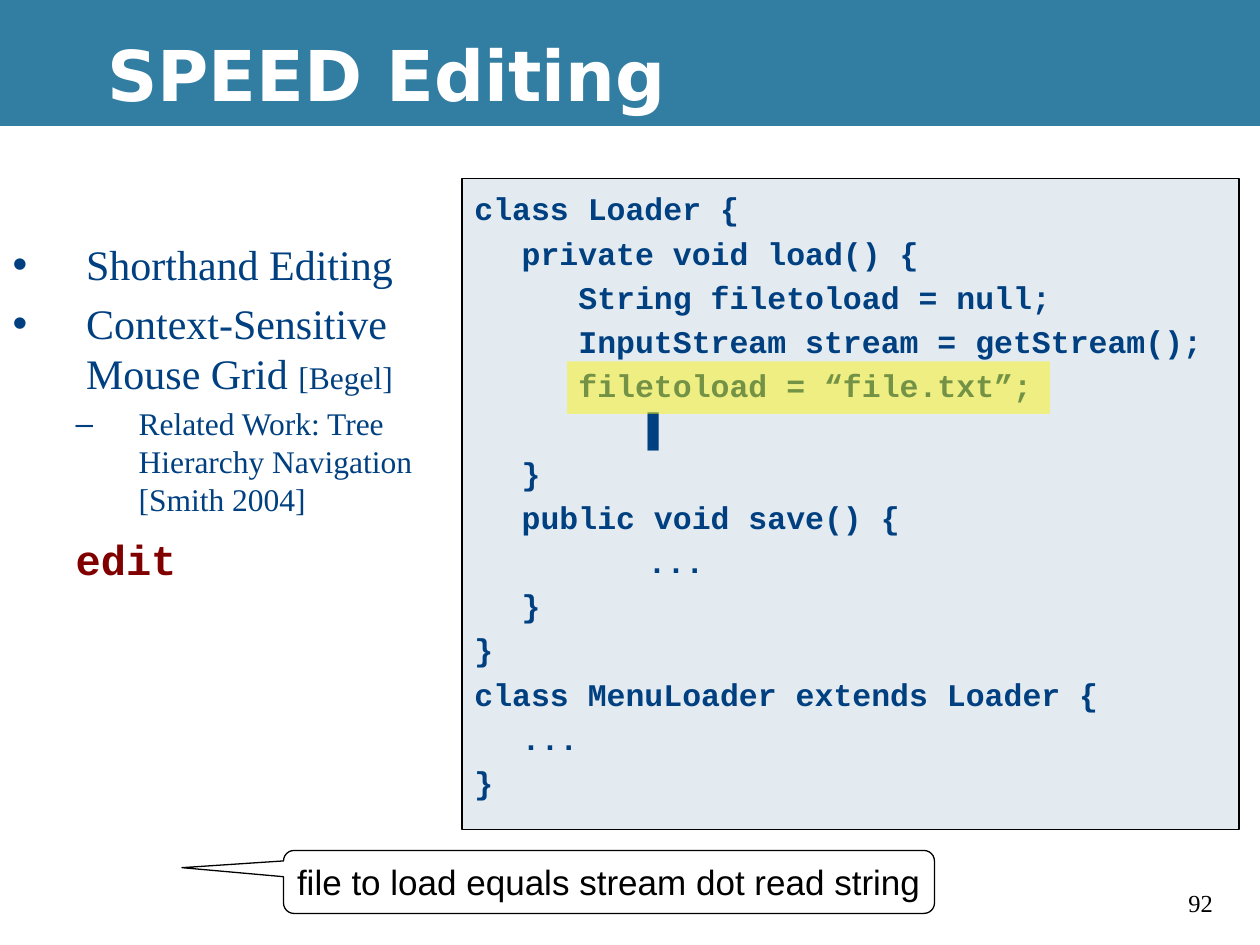
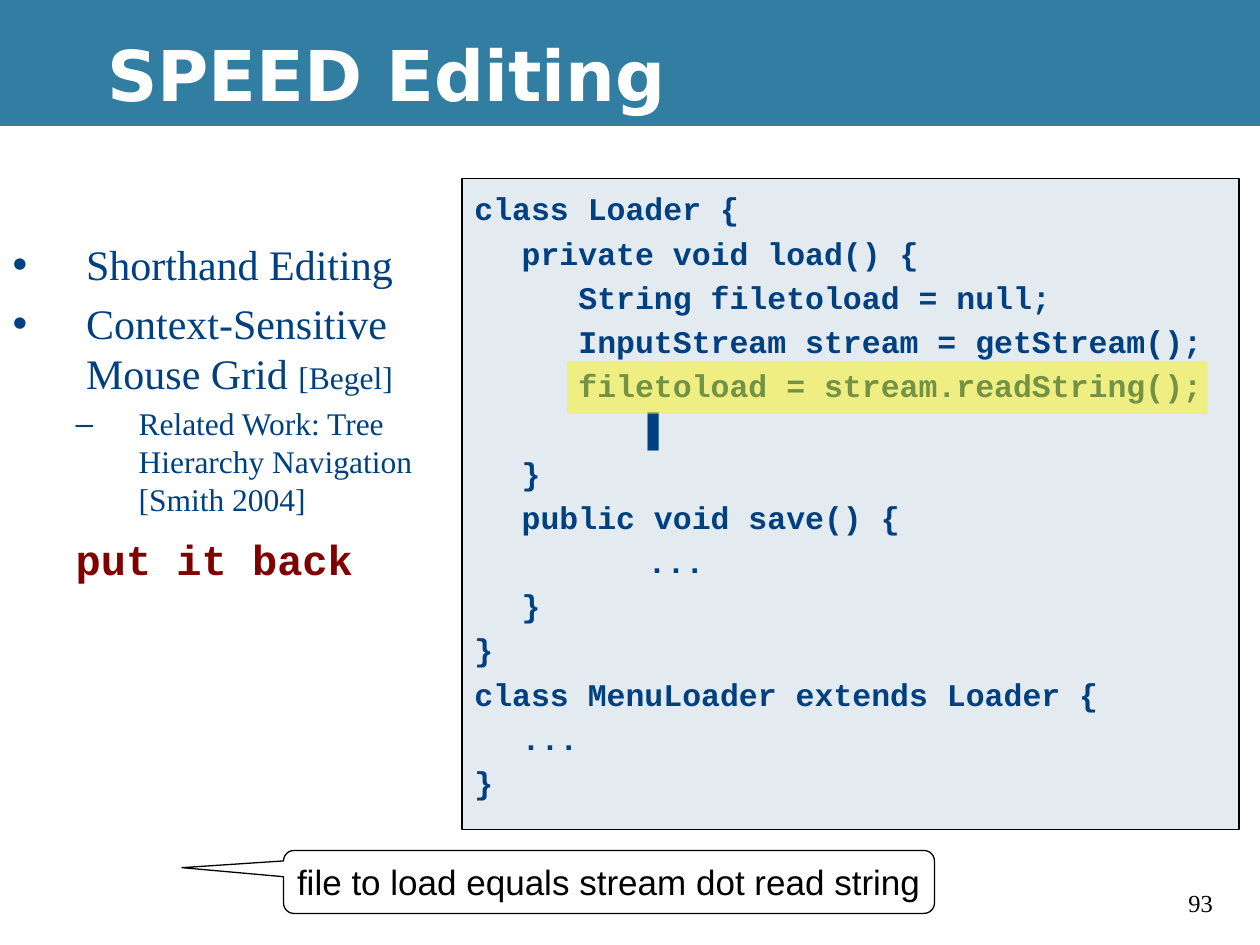
"""Builds two slides on spoken code editing."""
from dataclasses import dataclass

import pptx
import pptx.dml.color
import pptx.enum.shapes
import pptx.enum.text
import pptx.oxml.ns
import pptx.util
from lxml import etree

Pt = pptx.util.Pt
SHAPE = pptx.enum.shapes.MSO_SHAPE
ALIGN = pptx.enum.text.PP_ALIGN
ANCHOR = pptx.enum.text.MSO_ANCHOR


@dataclass(frozen=True)
class TextStyle:
    """Font, size, colour and weight of a run."""
    font: str
    size: float
    color: str
    bold: bool = False


class Theme:
    """Colours and text styles shared by the slides."""
    black, white = "000000", "FFFFFF"
    band, code_panel, marker = "327EA3", "E3EBF1", "FDF300"
    navy, maroon = "004080", "800000"
    title = TextStyle("DejaVu Sans", 40, white, True)
    topic = TextStyle("Times New Roman", 24, navy)
    detail = TextStyle("Times New Roman", 18, navy)
    command = TextStyle("Courier New", 24, maroon, True)
    code = TextStyle("Courier New", 18, navy, True)
    cursor = TextStyle("Arial", 18, navy, True)
    speech = TextStyle("Arial", 20, black)
    number = TextStyle("Times New Roman", 14, black)


CODE_INDENTS = (0, 27, 99)
CODE_BEFORE = [
    (0, "class Loader {"),
    (1, "private void load() {"),
    (1, "   String filetoload = null;"),
    (1, "   InputStream stream = getStream();"),
]
CODE_AFTER = [
    (2, "▌"),
    (1, "}"),
    (1, "public void save() {"),
    (2, "..."),
    (1, "}"),
    (0, "}"),
    (0, "class MenuLoader extends Loader {"),
    (1, "..."),
    (0, "}"),
]


def rgb(color):
    """Return a colour object for a hex string."""
    return pptx.dml.color.RGBColor.from_string(color)


def add_run(paragraph, text, style):
    """Append one styled run."""
    run = paragraph.add_run()
    run.text = text
    run.font.name = style.font
    run.font.size = Pt(style.size)
    run.font.bold = style.bold
    run.font.color.rgb = rgb(style.color)


def next_paragraph(frame, first):
    """Return the opening paragraph or a new one."""
    return frame.paragraphs[0] if first else frame.add_paragraph()


def set_indent(paragraph, left, hanging=0, bullet=None):
    """Set the margin, hanging indent and bullet of a paragraph."""
    properties = paragraph._p.get_or_add_pPr()
    properties.set("marL", str(Pt(left)))
    properties.set("indent", str(Pt(-hanging)))
    tag = "a:buChar" if bullet else "a:buNone"
    mark = etree.SubElement(properties, pptx.oxml.ns.qn(tag))
    if bullet:
        mark.set("char", bullet)


def place(shape, left, top, width, height):
    """Move and size a placeholder."""
    shape.left, shape.top = Pt(left), Pt(top)
    shape.width, shape.height = Pt(width), Pt(height)


def add_box(slide, kind, bounds, fill, line=None):
    """Add a filled preset shape, outlined if a line colour is given."""
    box = slide.shapes.add_shape(kind, *map(Pt, bounds))
    box.shadow.inherit = False
    box.fill.solid()
    box.fill.fore_color.rgb = rgb(fill)
    if line:
        box.line.color.rgb = rgb(line)
        box.line.width = Pt(0.75)
    else:
        box.line.fill.background()
    return box


def add_frame(slide, number):
    """Add the background, title band, title and slide number."""
    slide.background.fill.solid()
    slide.background.fill.fore_color.rgb = rgb(Theme.black)
    title = slide.shapes.title
    for bounds, fill in (((0, 72, 720, 468), Theme.white),
                         ((0, 0, 720, 72), Theme.band)):
        area = add_box(slide, SHAPE.RECTANGLE, bounds, fill)
        title.element.addprevious(area.element)

    place(title, 54, 6, 666, 72)
    title.text_frame.auto_size = pptx.enum.text.MSO_AUTO_SIZE.NONE
    title.text_frame.vertical_anchor = ANCHOR.MIDDLE
    heading = title.text_frame.paragraphs[0]
    heading.alignment = ALIGN.LEFT
    add_run(heading, "SPEED Editing", Theme.title)

    page = slide.shapes.add_textbox(Pt(672), Pt(504), Pt(36), Pt(24))
    page.text_frame.word_wrap = True
    add_run(page.text_frame.paragraphs[0], str(number), Theme.number)


def add_topics(slide, command):
    """Fill the body with the topics and the spoken command."""
    body = slide.placeholders[1]
    place(body, 0, 132, 276, 348)
    frame = body.text_frame
    frame.auto_size = pptx.enum.text.MSO_AUTO_SIZE.NONE
    frame.vertical_anchor = ANCHOR.TOP
    frame.margin_top = Pt(4.5)
    topics = [
        (0, "•", 28.6, 0, [("Shorthand Editing", Theme.topic)]),
        (0, "•", 28.6, 5, [("Context-Sensitive Mouse Grid ", Theme.topic),
                           ("[Begel]", Theme.detail)]),
        (1, "–", 21.7, 3.6,
         [("Related Work: Tree Hierarchy Navigation [Smith 2004]",
           Theme.detail)]),
        (1, None, 28.6, 9, [(command, Theme.command)]),
    ]
    for index, (level, bullet, pitch, gap, runs) in enumerate(topics):
        paragraph = next_paragraph(frame, index == 0)
        paragraph.level = level
        set_indent(paragraph, *((42, 42), (72, 36))[level], bullet)
        paragraph.line_spacing = Pt(pitch)
        paragraph.space_before = Pt(gap)
        for text, style in runs:
            add_run(paragraph, text, style)


def add_code(slide, edited_line, marker_width):
    """Add the code panel and mark its edited line."""
    panel = add_box(slide, SHAPE.RECTANGLE, (264, 102, 444, 372),
                    Theme.code_panel, Theme.black)
    frame = panel.text_frame
    frame.word_wrap = True
    frame.vertical_anchor = ANCHOR.TOP
    frame.margin_top = Pt(6.5)
    lines = CODE_BEFORE + [(1, "   " + edited_line)] + CODE_AFTER
    for index, (depth, text) in enumerate(lines):
        paragraph = next_paragraph(frame, index == 0)
        set_indent(paragraph, CODE_INDENTS[depth])
        paragraph.alignment = ALIGN.LEFT
        paragraph.line_spacing = Pt(21.4)
        paragraph.space_before = Pt(3.8 if index else 0)
        add_run(paragraph, text, Theme.cursor if text == "▌" else Theme.code)

    marker = add_box(slide, SHAPE.RECTANGLE, (324, 206.5, marker_width, 30),
                     Theme.marker)
    color = marker.element.spPr.find(".//" + pptx.oxml.ns.qn("a:srgbClr"))
    etree.SubElement(color, pptx.oxml.ns.qn("a:alpha")).set("val", "46000")


def add_speech(slide, words):
    """Add the callout with the dictated words."""
    callout = add_box(slide, SHAPE.ROUNDED_RECTANGULAR_CALLOUT,
                      (162, 486, 372, 36), Theme.white, Theme.black)
    for index, value in enumerate((-0.656, -0.226, 0.167)):
        callout.adjustments[index] = value
    callout.text_frame.word_wrap = False
    callout.text_frame.vertical_anchor = ANCHOR.MIDDLE
    paragraph = callout.text_frame.paragraphs[0]
    paragraph.alignment = ALIGN.CENTER
    add_run(paragraph, words, Theme.speech)


def main():
    """Build and save the presentation."""
    deck = pptx.Presentation()
    deck.slide_width, deck.slide_height = Pt(720), Pt(540)
    steps = [
        (92, "edit", "filetoload = “file.txt”;", 276),
        (93, "put it back", "filetoload = stream.readString();", 366),
    ]
    for number, command, edited_line, marker_width in steps:
        slide = deck.slides.add_slide(deck.slide_layouts[1])
        add_frame(slide, number)
        add_topics(slide, command)
        add_code(slide, edited_line, marker_width)
        add_speech(slide, "file to load equals stream dot read string")
    deck.save("out.pptx")


if __name__ == "__main__":
    main()
